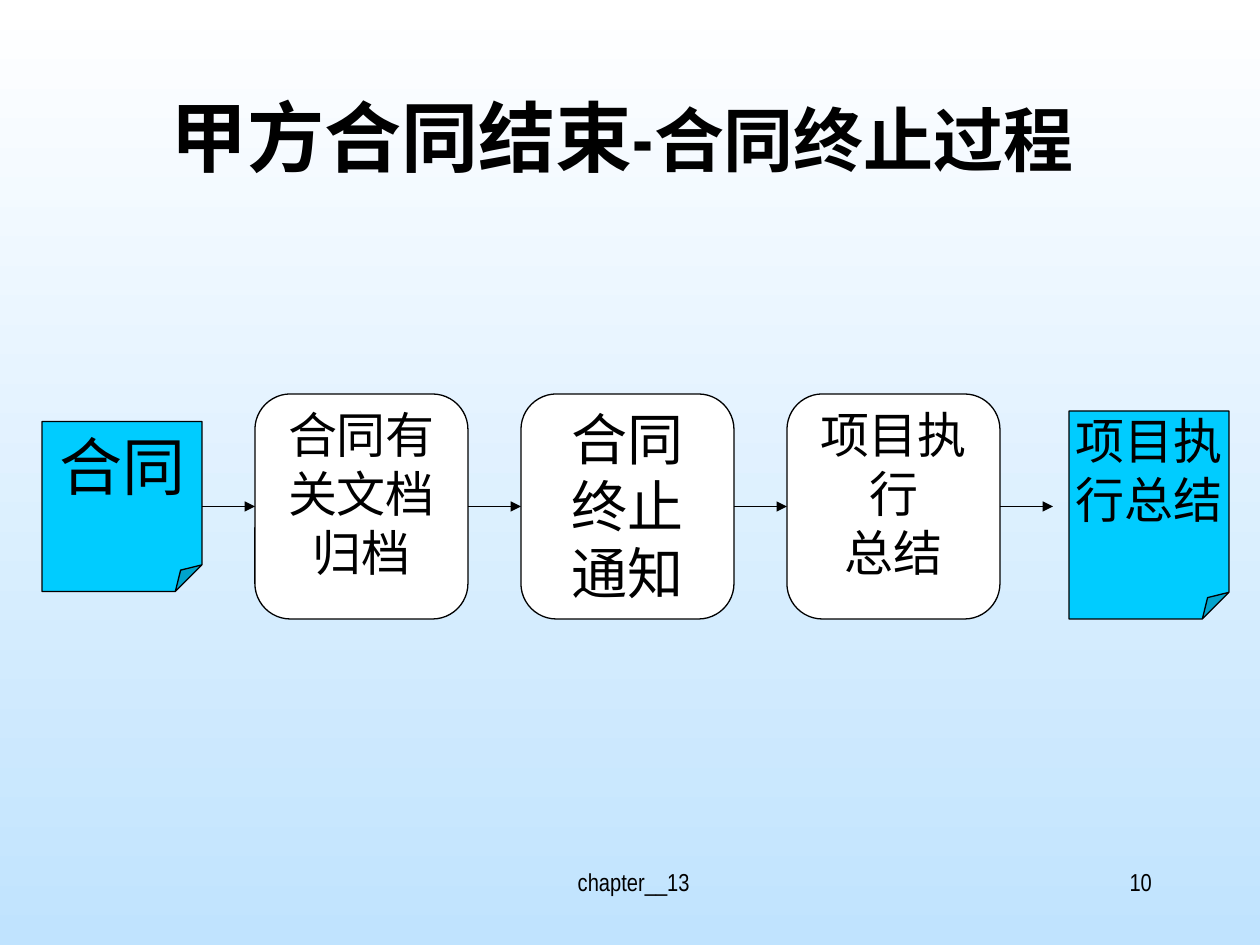
from lxml import etree
from pptx import Presentation
from pptx import util as u
from pptx.dml.color import RGBColor
from pptx.enum import shapes, text
from pptx.oxml import ns

SCALE = u.Inches(1) / 126
COLORS = {
    "ink": "000000",
    "step": "FFFFFF",
    "document": "00CCFF",
    "sky_top": "FFFFFF",
    "sky_bottom": "C0E3FE",
}
SERIF, NARROW, HAN = "Times New Roman", "Arial Narrow", "Noto Sans CJK SC"


def px(length):
    return u.Emu(round(length * SCALE))


def color(name):
    return RGBColor.from_string(COLORS[name])


def style_font(font, size, name, bold=False):
    font.size = u.Pt(size)
    font.name = name
    font.bold = bold
    font.color.rgb = color("ink")


def set_frame(frame, inset_x, inset_y):
    frame.word_wrap = True
    frame.auto_size = text.MSO_AUTO_SIZE.NONE
    frame.vertical_anchor = text.MSO_ANCHOR.TOP
    frame.margin_left = frame.margin_right = px(inset_x)
    frame.margin_top = frame.margin_bottom = px(inset_y)


def write_lines(frame, lines, size, name, align=text.PP_ALIGN.CENTER):
    for index, line in enumerate(lines):
        paragraph = frame.add_paragraph() if index else frame.paragraphs[0]
        paragraph.text = line
        paragraph.alignment = align
        style_font(paragraph.font, size, name)


def paint_background(slide):
    fill = slide.background.fill
    fill.gradient()
    fill.gradient_angle = 270
    for stop, position, name in zip(fill.gradient_stops, (0, 1), ("sky_top", "sky_bottom")):
        stop.position = position
        stop.color.rgb = color(name)


def place_title(slide, box):
    title = slide.shapes.title
    title.left, title.top, title.width, title.height = map(px, box)
    set_frame(title.text_frame, 13, 6)
    paragraph = title.text_frame.paragraphs[0]
    paragraph.alignment = text.PP_ALIGN.CENTER
    for words, size, name in (("甲方合同结束-", 44, NARROW), ("合同终止过程 ", 40, HAN)):
        run = paragraph.add_run()
        run.text = words
        style_font(run.font, size, name, bold=True)


def add_node(slide, kind, box, fill, lines, size, insets):
    node = slide.shapes.add_shape(kind, *map(px, box))
    node.shadow.inherit = False
    node.fill.solid()
    node.fill.fore_color.rgb = color(fill)
    node.line.color.rgb = color("ink")
    node.line.width = u.Pt(0.75)
    set_frame(node.text_frame, *insets)
    write_lines(node.text_frame, lines, size, SERIF)
    return node


def add_arrow(slide, start, end_x, end_y, target=None):
    arrow = slide.shapes.add_connector(
        shapes.MSO_CONNECTOR.STRAIGHT, 0, 0, px(end_x), px(end_y))
    arrow.begin_connect(start, 3)
    if target is not None:
        arrow.end_connect(target, 1)
    arrow.line.color.rgb = color("ink")
    arrow.line.width = u.Pt(0.75)
    line = arrow.line._get_or_add_ln()
    etree.SubElement(line, ns.qn("a:tailEnd"), type="triangle")
    etree.SubElement(arrow._element.spPr, ns.qn("a:effectLst"))


def place_process(slide, box):
    left, top, width, height = box
    middle = top + height / 2
    note_width, step_width, gap = 160, 213, 53
    note, rounded = shapes.MSO_SHAPE.FOLDED_CORNER, shapes.MSO_SHAPE.ROUNDED_RECTANGLE
    nodes = [add_node(slide, note, (left, middle - 85, note_width, 170),
                      "document", ["合同"], 36, (0, 6))]
    steps = [
        (["合同有关文档归档"], 28, (13, 0)),
        (["合同终止通知"], 32, (13, 0)),
        (["项目执行", "总结"], 28, (0, 0)),
    ]
    x = left + note_width + gap
    for lines, size, insets in steps:
        nodes.append(add_node(slide, rounded, (x, top, step_width, height),
                              "step", lines, size, insets))
        x += step_width + gap
    add_node(slide, note, (left + width - note_width, top + 17, note_width, height - 17),
             "document", ["项目执行总结"], 28, (0, 0))
    for start, target in zip(nodes, nodes[1:]):
        add_arrow(slide, start, x, middle, target)
    add_arrow(slide, nodes[-1], x, middle)


def place_footer(slide, box):
    left, top, width, height = box
    parts = [
        (left, 400, " chapter__13", text.PP_ALIGN.CENTER),
        (left + width - 262, 262, "10", text.PP_ALIGN.RIGHT),
    ]
    for x, part_width, words, align in parts:
        label = slide.shapes.add_textbox(*map(px, (x, top, part_width, height)))
        set_frame(label.text_frame, 13, 6)
        write_lines(label.text_frame, [words], 14, NARROW, align)


def main():
    presentation = Presentation()
    presentation.slide_width, presentation.slide_height = px(1260), px(945)
    slide = presentation.slides.add_slide(presentation.slide_layouts[5])
    paint_background(slide)
    place_footer(slide, (431, 861, 734, 63))
    place_title(slide, (94, 84, 1072, 158))
    place_process(slide, (42, 394, 1187, 225))
    presentation.save("out.pptx")


if __name__ == "__main__":
    main()
